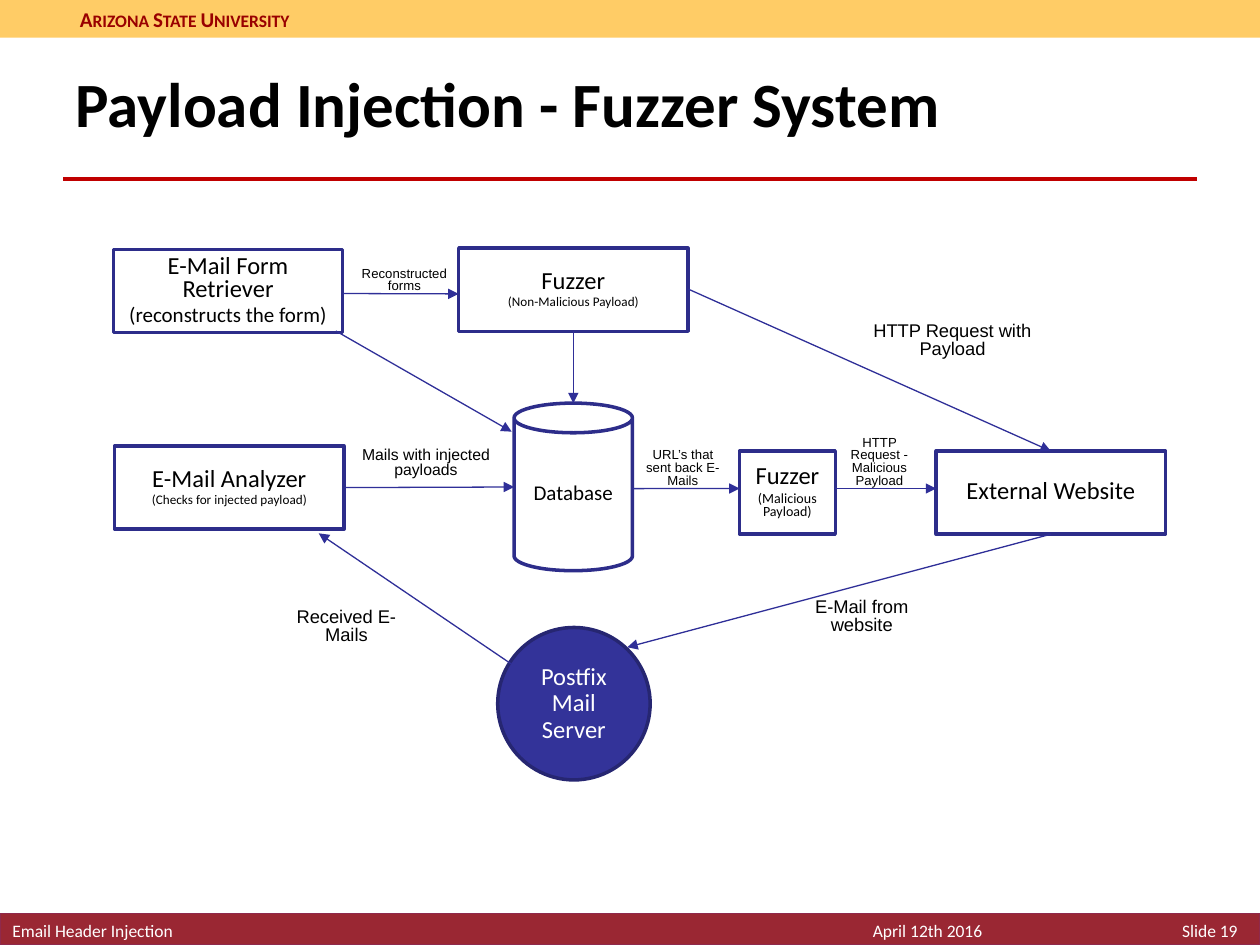
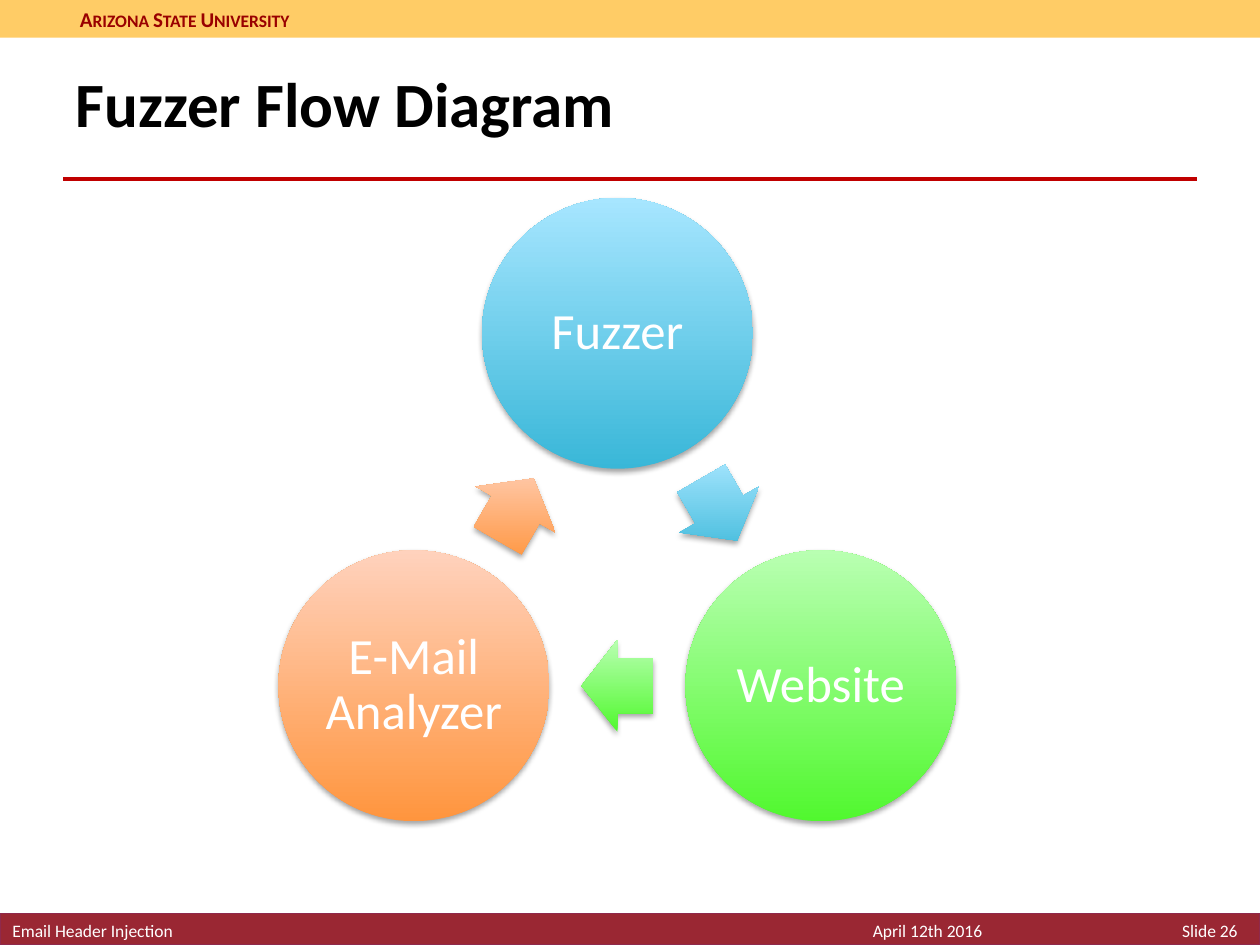
import math
from lxml import etree
from pptx import Presentation
from pptx import util as u
from pptx.dml.color import RGBColor
from pptx.enum import shapes, text
from pptx.oxml import ns

WIDTH, HEIGHT = 10, 7.5
BLACK, WHITE = RGBColor(0, 0, 0), RGBColor(255, 255, 255)
GOLD, MAROON = RGBColor(0xFF, 0xCC, 0x66), RGBColor(0x9A, 0x27, 0x33)
MAROON_EDGE, HEADER_RED = RGBColor(0x8F, 0x29, 0x4C), RGBColor(0x99, 0, 0)
RULE_RED = RGBColor(0xC0, 0, 0)
NODE_EDGE, ARROW_BLUE = RGBColor(0x2D, 0x2D, 0x8A), RGBColor(0x2F, 0x2F, 0x98)
SERVER_FILL, SERVER_EDGE = RGBColor(0x33, 0x33, 0x99), RGBColor(0x26, 0x26, 0x71)

UNIVERSITY = "Arizona State University"
FOOTER_HEIGHT = 0.25
# words, left, width, alignment
FOOTERS = [
    ("Email Header Injection", 0, 4.83, text.PP_ALIGN.LEFT),
    ("April 12th 2016", 6.83, 1.83, text.PP_ALIGN.LEFT),
    ("Slide {}", 9, 0.92, text.PP_ALIGN.RIGHT),
]

BOX, CAN = shapes.MSO_SHAPE.RECTANGLE, shapes.MSO_SHAPE.CAN
CIRCLE, BLOCK_ARROW = shapes.MSO_SHAPE.OVAL, shapes.MSO_SHAPE.RIGHT_ARROW
BOX_W, BOX_H = 1.82, 0.66
# name: preset, (left, top, width, height), [(words, size)]
SYSTEM_NODES = {
    "analyzer": (BOX, (0.91, 3.54, BOX_W, BOX_H),
                 [("E-Mail Analyzer", 14), ("(Checks for injected payload)", 7.5)]),
    "database": (CAN, (4.08, 3.2, 0.94, 1.33), [("Database", 12)]),
    "website": (BOX, (7.43, 3.58, BOX_W, BOX_H), [("External Website", 14)]),
    "fuzzer": (BOX, (3.64, 1.97, BOX_W, BOX_H),
               [("Fuzzer", 14), ("(Non-Malicious Payload)", 7.5)]),
    "retriever": (BOX, (0.9, 1.98, BOX_W, BOX_H),
                  [("E-Mail Form Retriever", 14), ("(reconstructs the form)", 12)]),
    "malicious": (BOX, (5.87, 3.58, 0.76, BOX_H),
                  [("Fuzzer", 14), ("(Malicious Payload)", 8)]),
    "server": (CIRCLE, (3.95, 4.98, 1.21, 1.21), [("Postfix Mail Server", 14)]),
}
# Ends are a node and a point in shares of that node's width and height
SYSTEM_ARROWS = [
    (("analyzer", 1, 0.5), ("database", 0, 0.5)),
    (("fuzzer", 0.5, 1), ("database", 0.5, 0)),
    (("server", 0.09, 0.24), ("analyzer", 0.89, 1.05)),
    (("fuzzer", 1, 0.49), ("website", 0.5, 0)),
    (("website", 0.5, 1), ("server", 0.85, 0.13)),
    (("retriever", 1, 0.53), ("fuzzer", 0, 0.55)),
    (("database", 1, 0.51), ("malicious", 0, 0.45)),
    (("malicious", 1, 0.45), ("website", 0, 0.45)),
    (("retriever", 0.97, 0.98), ("database", -0.02, 0.17)),
]
# words, size, centre, top, width, height
ARROW_LABELS = [
    ("Mails with injected payloads", 9, 3.38, 3.51, 1.35, 0.4),
    ("Received E-Mails", 10.5, 2.75, 4.79, 1.1, 0.4),
    ("HTTP Request with Payload", 10.5, 7.56, 2.52, 1.5, 0.4),
    ("E-Mail from website", 10.5, 6.84, 4.71, 1.1, 0.4),
    ("Reconstructed\vforms", 7.5, 3.21, 2.08, 1, 0.3),
    ("URL’s that sent back E-Mails", 7.5, 5.42, 3.52, 0.8, 0.48),
    ("HTTP Request - Malicious Payload", 7.5, 6.98, 3.42, 0.74, 0.73),
]

# words, bottom colour, top colour; clockwise from the top
CYCLE = [
    ("Fuzzer", RGBColor(0x39, 0xB7, 0xD8), RGBColor(0xA7, 0xE6, 0xFF)),
    ("Website", RGBColor(0x51, 0xF8, 0x2F), RGBColor(0xB9, 0xFF, 0xB2)),
    ("E-Mail Analyzer", RGBColor(0xFF, 0x95, 0x3E), RGBColor(0xFF, 0xD2, 0xBD)),
]
CYCLE_CENTRE, CYCLE_RADIUS = (4.9, 4.51), 1.865
DISC, ARROW_W, ARROW_H = 2.15, 0.57, 0.73


def inches(*lengths):
    return [u.Inches(length) for length in lengths]


def write(shape, lines, color, font="Calibri", align=text.PP_ALIGN.CENTER,
          spacing=None, anchor=text.MSO_ANCHOR.MIDDLE, inset=None):
    """Fill a shape with (words, size) paragraphs."""
    frame = shape.text_frame
    frame.word_wrap = True
    frame.vertical_anchor = anchor
    if inset is not None:
        frame.margin_left = frame.margin_right = u.Inches(inset)
        frame.margin_top = frame.margin_bottom = u.Inches(inset)
    frame.text = "\n".join(words for words, _ in lines)
    for index, (paragraph, (_, size)) in enumerate(zip(frame.paragraphs, lines)):
        paragraph.alignment = align
        paragraph.line_spacing = spacing
        if index:
            paragraph.space_before = u.Pt(round(size * 0.2, 1))
        for run in paragraph.runs:
            run.font.name, run.font.size = font, u.Pt(size)
            run.font.color.rgb = color


def add_solid(slide, preset, place, fill, edge=None, edge_width=0.75):
    shape = slide.shapes.add_shape(preset, *inches(*place))
    shape.shadow.inherit = False
    shape.fill.solid()
    shape.fill.fore_color.rgb = fill
    if edge is None:
        shape.line.fill.background()
    else:
        shape.line.color.rgb = edge
        shape.line.width = u.Pt(edge_width)
    return shape


def add_line(slide, start, end, color, width, arrow=False):
    line = slide.shapes.add_connector(shapes.MSO_CONNECTOR.STRAIGHT, *inches(*start, *end))
    line.line.color.rgb = color
    line.line.width = u.Pt(width)
    if arrow:
        etree.SubElement(line.line._get_or_add_ln(), ns.qn("a:tailEnd"), type="triangle")
    etree.SubElement(line._element.spPr, ns.qn("a:effectLst"))


def add_header(slide):
    """Gold band with the university's name in small capitals."""
    band = add_solid(slide, BOX, (0, 0, WIDTH, 0.3), GOLD)
    frame = band.text_frame
    frame.margin_left = u.Inches(0.635)
    frame.vertical_anchor = text.MSO_ANCHOR.MIDDLE
    paragraph = frame.paragraphs[0]
    paragraph.alignment = text.PP_ALIGN.LEFT
    words = UNIVERSITY.upper().split()
    for index, word in enumerate(words):
        gap = " " if index < len(words) - 1 else ""
        for part, size in ((word[0], 12), (word[1:] + gap, 10)):
            run = paragraph.add_run()
            run.text = part
            run.font.name, run.font.size, run.font.bold = "Calibri", u.Pt(size), True
            run.font.color.rgb = HEADER_RED


def add_page(deck, title, number):
    """Add a slide with the shared bands, rule, title and footers."""
    slide = deck.slides.add_slide(deck.slide_layouts[5])
    footer_top = HEIGHT - FOOTER_HEIGHT
    add_solid(slide, BOX, (0, footer_top, WIDTH, FOOTER_HEIGHT), MAROON, MAROON_EDGE)
    add_line(slide, (0.5, 1.42), (WIDTH - 0.5, 1.42), RULE_RED, 2.25)
    add_header(slide)
    heading = slide.shapes.title
    heading.left, heading.top, heading.width, heading.height = inches(0.5, 0.3, 9, 1.03)
    write(heading, [(title, 36)], BLACK, align=text.PP_ALIGN.LEFT)
    heading.text_frame.paragraphs[0].runs[0].font.bold = True
    for words, left, width, align in FOOTERS:
        footer = slide.shapes.add_textbox(*inches(left, footer_top, width, FOOTER_HEIGHT))
        write(footer, [(words.format(number), 10)], WHITE, align=align,
              anchor=text.MSO_ANCHOR.TOP)
    return slide


def node_point(name, across, down):
    left, top, width, height = SYSTEM_NODES[name][1]
    return left + across * width, top + down * height


def draw_system(slide):
    for name, (preset, place, lines) in SYSTEM_NODES.items():
        if name == "server":
            server = add_solid(slide, preset, place, SERVER_FILL, SERVER_EDGE, 2)
            write(server, lines, WHITE, spacing=0.9, inset=0.03)
        else:
            write(add_solid(slide, preset, place, WHITE, NODE_EDGE, 2), lines, BLACK,
                  spacing=0.8)
    for start, end in SYSTEM_ARROWS:
        add_line(slide, node_point(*start), node_point(*end), ARROW_BLUE, 0.75, arrow=True)
    for words, size, centre, top, width, height in ARROW_LABELS:
        label = slide.shapes.add_textbox(*inches(centre - width / 2, top, width, height))
        write(label, [(words, size)], BLACK, "Arial", spacing=0.8,
              anchor=text.MSO_ANCHOR.TOP)


def add_cycle_part(slide, preset, angle, radius, size, colors):
    """Shaded shape centred at an angle (clockwise from the top) and radius."""
    x = CYCLE_CENTRE[0] + radius * math.sin(math.radians(angle))
    y = CYCLE_CENTRE[1] - radius * math.cos(math.radians(angle))
    width, height = size
    part = slide.shapes.add_shape(preset, *inches(x - width / 2, y - height / 2, width, height))
    part.line.fill.background()
    part.fill.gradient()
    part.fill.gradient_angle = 90
    for stop, color in zip(part.fill.gradient_stops, colors):
        stop.color.rgb = color
    properties = part._element.spPr
    properties.find(ns.qn("a:gradFill")).set("rotWithShape", "0")
    effects = etree.SubElement(properties, ns.qn("a:effectLst"))
    shadow = etree.SubElement(effects, ns.qn("a:outerShdw"), blurRad="40000",
                              dist="23000", dir="5400000", rotWithShape="0")
    shade = etree.SubElement(shadow, ns.qn("a:srgbClr"), val="000000")
    etree.SubElement(shade, ns.qn("a:alpha"), val="35000")
    return part


def draw_cycle(slide):
    step = 360 / len(CYCLE)
    for index, (words, *colors) in enumerate(CYCLE):
        angle = index * step
        disc = add_cycle_part(slide, CIRCLE, angle, CYCLE_RADIUS, (DISC, DISC), colors)
        write(disc, [(words, 29)], WHITE, spacing=0.9, inset=0.04)
        midway = angle + step / 2
        arrow = add_cycle_part(slide, BLOCK_ARROW, midway, CYCLE_RADIUS / 2,
                               (ARROW_W, ARROW_H), colors)
        arrow.adjustments[0], arrow.adjustments[1] = 0.6, 0.5
        arrow.rotation = midway


def main():
    deck = Presentation()
    deck.slide_width, deck.slide_height = inches(WIDTH, HEIGHT)
    draw_system(add_page(deck, "Payload Injection - Fuzzer System", 19))
    draw_cycle(add_page(deck, "Fuzzer Flow Diagram", 26))
    deck.save("out.pptx")


if __name__ == "__main__":
    main()
